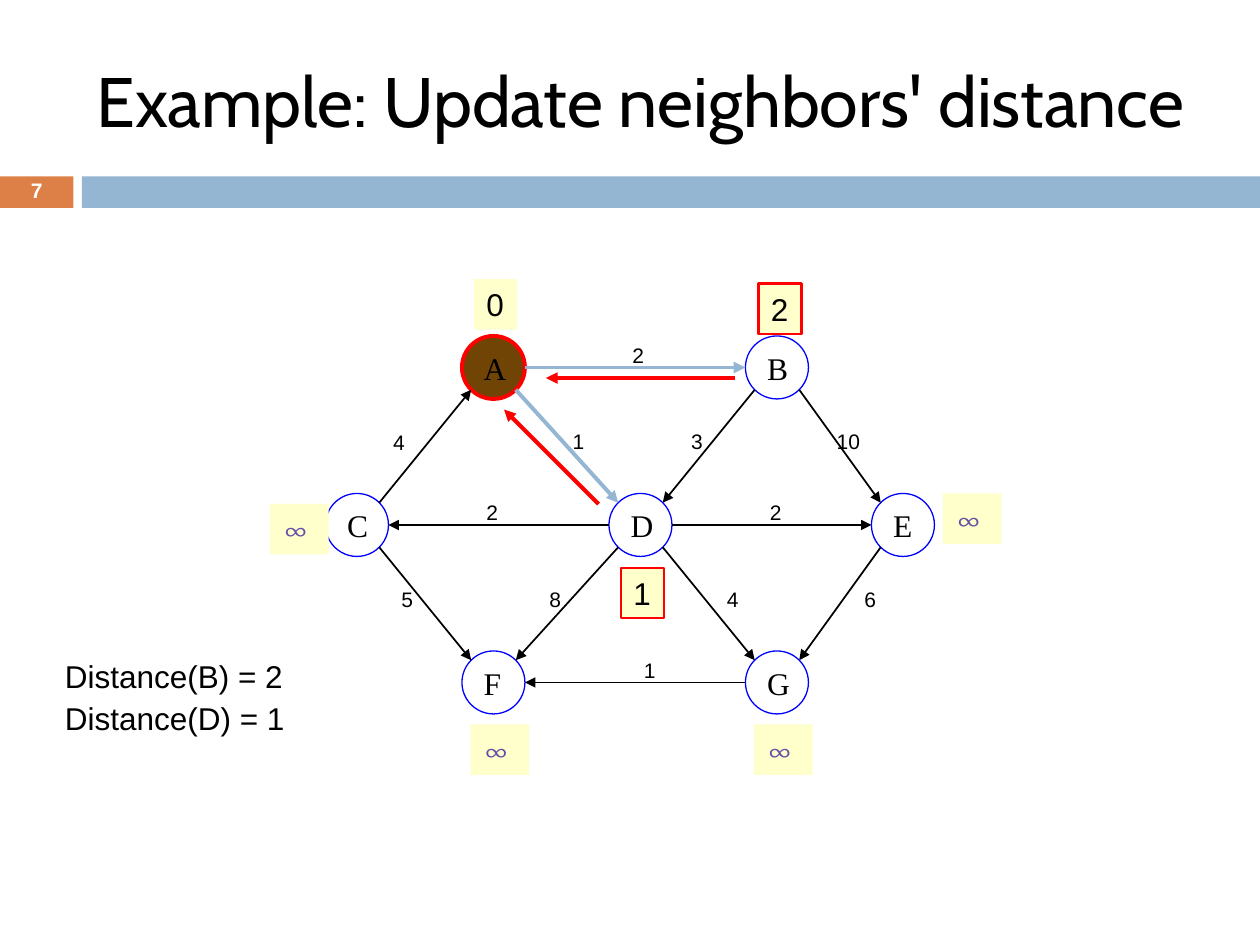
from math import copysign, sqrt

from lxml.etree import SubElement
from pptx import Presentation
from pptx.dml.color import RGBColor
from pptx.enum.shapes import MSO_CONNECTOR as Connector, MSO_SHAPE as Preset
from pptx.enum.text import MSO_ANCHOR as Anchor, PP_ALIGN as Align
from pptx.oxml.ns import qn
from pptx.util import Inches, Pt

SLIDE_WIDTH, SLIDE_HEIGHT = Inches(10), Inches(7.5)
COLUMNS = 120
UNIT = SLIDE_WIDTH / COLUMNS
RADIUS = 3

BLACK, WHITE, RED, BLUE = "000000", "FFFFFF", "FF0000", "0000FF"
ORANGE, SKY, BROWN, CREAM, PURPLE = "DD8047", "94B6D2", "704404", "FFFFCC", "674EA7"

NODES = {
    "A": (47, 35), "B": (74, 35),
    "C": (34, 50), "D": (61, 50), "E": (86, 50),
    "F": (47, 65), "G": (74, 65),
}
EDGES = [
    ("A", "B", "2", 60.8, 33.8), ("A", "D", "1", 55.1, 42),
    ("B", "D", "3", 66.4, 42), ("B", "E", "10", 80.8, 42),
    ("C", "A", "4", 38, 42.1), ("C", "F", "5", 38.8, 57.1),
    ("D", "C", "2", 46.9, 48.8), ("D", "E", "2", 73.9, 48.8),
    ("D", "F", "8", 52.9, 57.1), ("D", "G", "4", 69.8, 57.1),
    ("E", "G", "6", 82.9, 57.1), ("G", "F", "1", 61.9, 63.8),
]
RELAXED = {("A", "B"), ("A", "D")}
DISTANCES = [
    ("0", 47.2, 29, False), ("2", 74.3, 29.4, True), ("1", 61.2, 56.5, True),
    ("∞", 28.5, 50.4, False), ("∞", 92.6, 49.4, False),
    ("∞", 47.6, 71.4, False), ("∞", 74.6, 71.4, False),
]
PREDECESSORS = [((57, 48), (48, 39)), ((70, 36), (52, 36))]


def color(value):
    """Turn a hex string into a colour."""
    return RGBColor.from_string(value)


def grid(*values):
    """Turn grid units into slide lengths."""
    return [round(value * UNIT) for value in values]


def write(shape, text, size, font="Arial", ink=BLACK, anchor=Anchor.MIDDLE,
          wrap=False, align=Align.LEFT):
    """Put one formatted paragraph into a shape and return it."""
    frame = shape.text_frame
    frame.text = text
    frame.word_wrap = wrap
    frame.vertical_anchor = anchor
    paragraph = frame.paragraphs[0]
    paragraph.alignment = align
    run_font = paragraph.runs[0].font
    run_font.name, run_font.size = font, Pt(size)
    run_font.color.rgb = color(ink)
    return paragraph


def add_block(slide, preset, left, top, width, height, fill=None, line=None, weight=1):
    """Add a preset shape measured in grid units."""
    shape = slide.shapes.add_shape(preset, *grid(left, top, width, height))
    shape.shadow.inherit = False
    if fill:
        shape.fill.solid()
        shape.fill.fore_color.rgb = color(fill)
    else:
        shape.fill.background()
    if line:
        shape.line.color.rgb = color(line)
        shape.line.width = Pt(weight)
    else:
        shape.line.fill.background()
    return shape


def add_text(slide, left, top, width, height, text, size, **style):
    """Add a text box measured in grid units and return its paragraph."""
    box = slide.shapes.add_textbox(*grid(left, top, width, height))
    return write(box, text, size, **style)


def add_arrow(slide, start, end, ink=BLACK, weight=1):
    """Add a straight line with an arrowhead at its end."""
    arrow = slide.shapes.add_connector(Connector.STRAIGHT, *grid(*start, *end))
    arrow.line.color.rgb = color(ink)
    arrow.line.width = Pt(weight)
    SubElement(arrow.line._get_or_add_ln(), qn("a:tailEnd"), type="triangle")
    SubElement(arrow._element.spPr, qn("a:effectLst"))


def rim_point(node, other):
    """Find the point on a node's rim, by eighths of a turn, that faces another node."""
    (x, y), (other_x, other_y) = NODES[node], NODES[other]
    if y == other_y:
        return x + copysign(RADIUS, other_x - x), y
    reach = RADIUS / sqrt(2)
    return x + copysign(reach, other_x - x), y + copysign(reach, other_y - y)


def add_header(slide):
    """Add the title, the two bars and the page number."""
    add_block(slide, Preset.RECTANGLE, 0, 16.8, 7, 3, ORANGE)
    add_block(slide, Preset.RECTANGLE, 7.8, 16.8, COLUMNS - 7.8, 3, SKY)
    add_text(slide, 8, 3, 107, 13, "Example: Update neighbors' distance", 40,
             font="Cabin", wrap=True)
    number = add_text(slide, 0, 16.7, 7, 3.2, "7", 12, ink=WHITE, wrap=True,
                      align=Align.CENTER)
    number.line_spacing = 0.8
    number.runs[0].font.bold = True


def add_node(slide, name, visited):
    """Add a named circle centred on its grid point."""
    x, y = NODES[name]
    style = (BROWN, RED, 2.25) if visited else (None, BLUE, 0.75)
    circle = add_block(slide, Preset.OVAL, x - RADIUS, y - RADIUS,
                       2 * RADIUS, 2 * RADIUS, *style)
    write(circle, name, 18, font="Times New Roman")


def add_edge(slide, start, end, cost, x, y):
    """Add a directed edge and its cost centred on a grid point."""
    style = (SKY, 2.25) if (start, end) in RELAXED else (BLACK, 1)
    add_arrow(slide, rim_point(start, end), rim_point(end, start), *style)
    width = 2.4 + 1.1 * len(cost)
    add_text(slide, x - width / 2, y - 1.8, width, 3.6, cost, 12)


def add_distance(slide, text, x, y, updated):
    """Add a distance label, outlined when it has just been updated."""
    infinite = text == "∞"
    width, height = 5.6 if infinite else 4.1, 4.8
    label = add_block(slide, Preset.RECTANGLE, x - width / 2, y - height / 2,
                      width, height, CREAM, RED if updated else None, 1.25)
    font, ink = ("Cambria", PURPLE) if infinite else ("Arial", BLACK)
    write(label, text, 18, font, ink, Anchor.TOP)


def main():
    """Build the slide and save it."""
    presentation = Presentation()
    presentation.slide_width, presentation.slide_height = SLIDE_WIDTH, SLIDE_HEIGHT
    slide = presentation.slides.add_slide(presentation.slide_layouts[6])
    add_header(slide)
    for name in NODES:
        add_node(slide, name, visited=name == "A")
    for edge in EDGES:
        add_edge(slide, *edge)
    for distance in DISTANCES:
        add_distance(slide, *distance)
    for row, text in enumerate(["Distance(B) = 2", "Distance(D) = 1"]):
        add_text(slide, 5, 62 + 4 * row, 25.6, 10.3, text, 18,
                 anchor=Anchor.TOP, wrap=True)
    for start, end in PREDECESSORS:
        add_arrow(slide, start, end, RED, 2.25)
    presentation.save("out.pptx")


if __name__ == "__main__":
    main()
